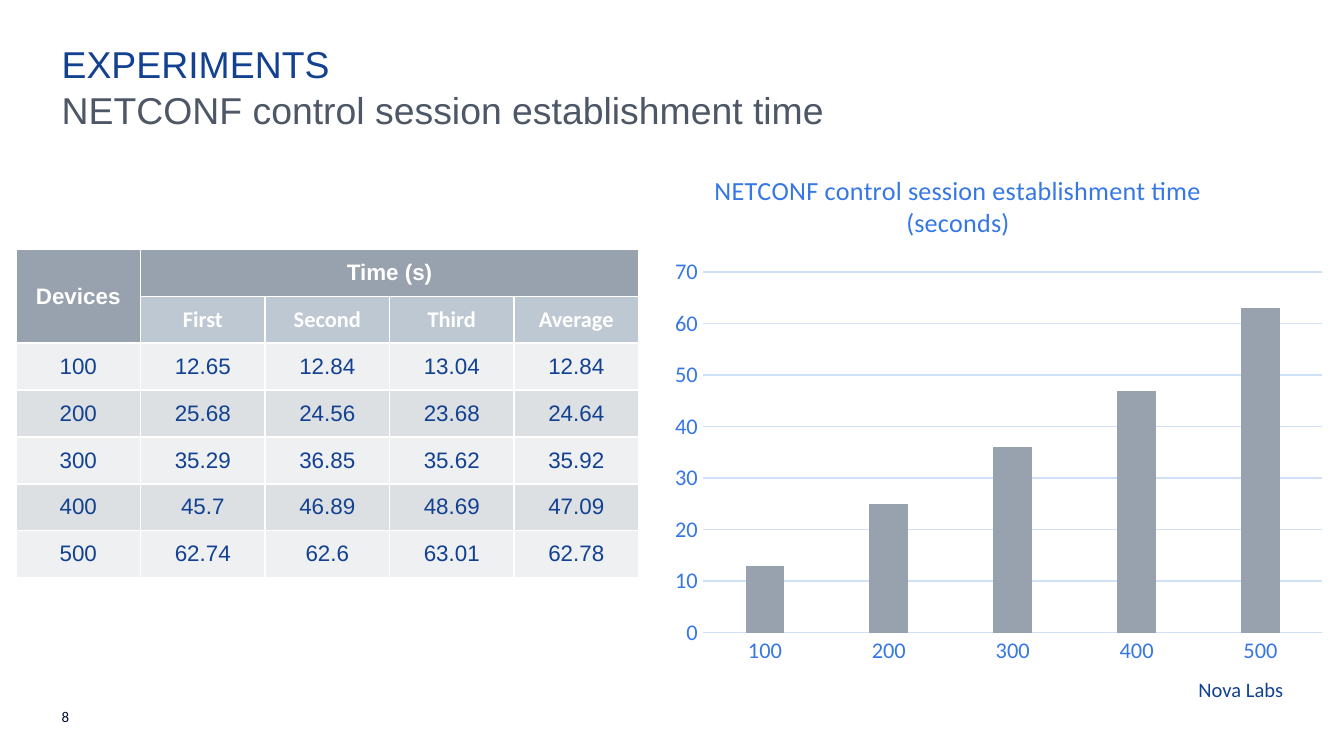
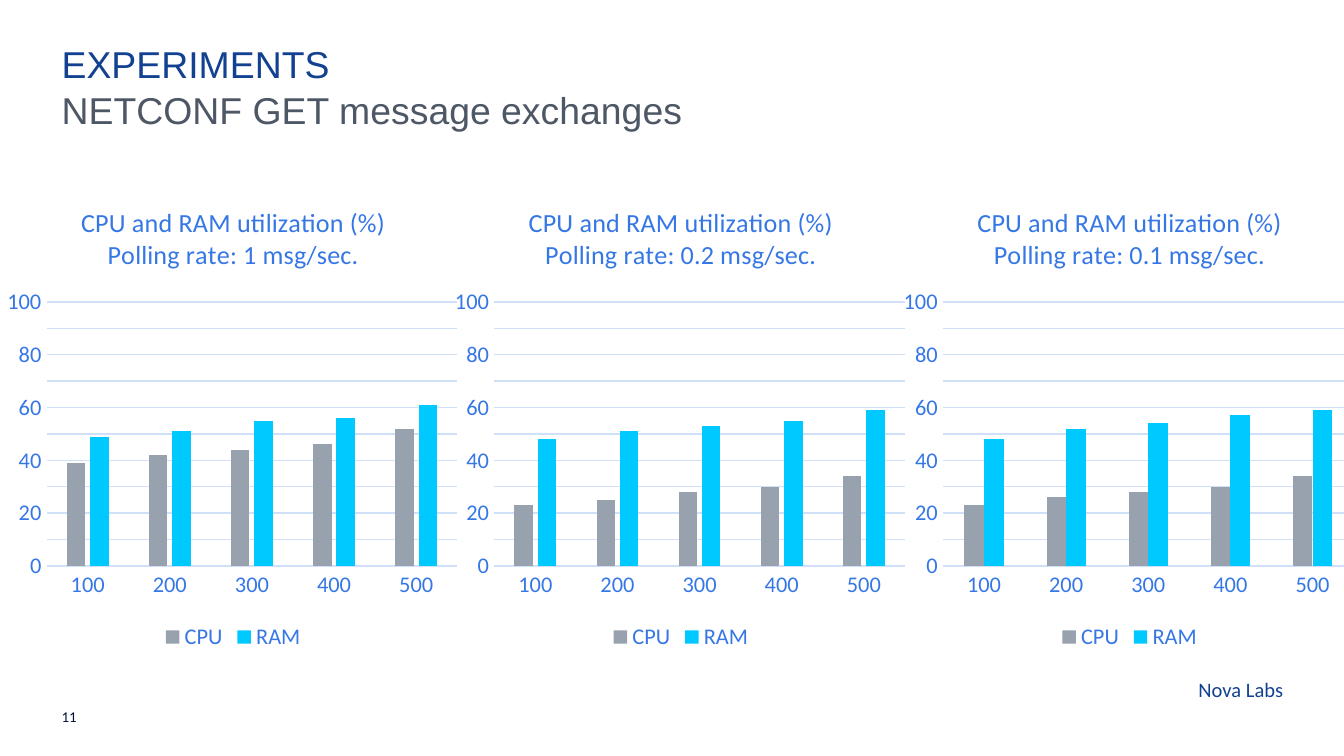
import pptx
import pptx.util
import pptx.chart.data
import pptx.dml.color
import pptx.enum.chart
import pptx.enum.text
import pptx.oxml
import lxml.etree

Pt = pptx.util.Pt
RGB = pptx.dml.color.RGBColor.from_string
ALIGN = pptx.enum.text.PP_ALIGN
ANCHOR = pptx.enum.text.MSO_ANCHOR
CHART = pptx.enum.chart

HUE = {
    "navy": "124191", "ink": "001135", "slate": "4D5766", "blue": "3677E6",
    "grid": "D1E0F9", "gray": "98A2AE", "cyan": "00C9FF", "white": "FFFFFF",
    "sub": "BEC8D2", "light": "EFF0F2", "dark": "DDE0E3",
}
LOADS = ["100", "200", "300", "400", "500"]


def put_text(shape, text, box, size, hue, face, align=ALIGN.LEFT, anchor=ANCHOR.TOP):
    """Place a text shape and give it one styled paragraph."""
    shape.left, shape.top, shape.width, shape.height = [Pt(n) for n in box]
    frame = shape.text_frame
    frame.margin_left = frame.margin_right = frame.margin_top = frame.margin_bottom = 0
    frame.word_wrap = True
    frame.vertical_anchor = anchor
    frame.text = text
    para = frame.paragraphs[0]
    para.alignment = align
    para.font.size, para.font.name = Pt(size), face
    para.font.color.rgb = RGB(HUE[hue])


def add_bars(slide, box, lines, series, plot, overlap, spot=None):
    """Add a column chart; plot (inner area) and spot (title) are shares of it."""
    data = pptx.chart.data.CategoryChartData()
    data.categories = LOADS
    for name, vals, hue in series:
        data.add_series(name, vals)
    chart = slide.shapes.add_chart(
        CHART.XL_CHART_TYPE.COLUMN_CLUSTERED, *[Pt(n) for n in box], data).chart
    chart.font.size, chart.font.name = Pt(10), "Calibri"
    chart.font.color.rgb = RGB(HUE["navy"])

    # Title
    frame = chart.chart_title.text_frame
    frame.text = "\n".join(lines)
    for para in frame.paragraphs:
        para.font.size, para.font.name, para.font.bold = Pt(14), "Calibri", False
        para.font.color.rgb = RGB(HUE["blue"])

    # Axes and legend
    cat, val = chart.category_axis, chart.value_axis
    val.major_unit = 10
    fonts = [cat.tick_labels.font, val.tick_labels.font]
    chart.has_legend = len(series) > 1
    if chart.has_legend:
        chart.legend.position = CHART.XL_LEGEND_POSITION.BOTTOM
        chart.legend.include_in_layout = False
        fonts.append(chart.legend.font)
        val.maximum_scale = 100
    for font in fonts:
        font.size, font.name = Pt(12), "Calibri"
        font.color.rgb = RGB(HUE["blue"])
    for axis in (cat, val):
        axis.major_tick_mark = axis.minor_tick_mark = CHART.XL_TICK_MARK.NONE
    val.has_major_gridlines = True
    for line in (cat.format.line, val.major_gridlines.format.line):
        line.color.rgb, line.width = RGB(HUE["grid"]), Pt(0.75)
    val.format.line.fill.background()

    # Bars
    bars = chart.plots[0]
    bars.vary_by_categories = False
    bars.gap_width, bars.overlap = 219, overlap
    for item, (name, vals, hue) in zip(bars.series, series):
        item.format.fill.solid()
        item.format.fill.fore_color.rgb = RGB(HUE[hue])

    # Fixed places for the inner plot area and the title
    area = chart._chartSpace.chart.plotArea
    tag = "{%s}" % area.nsmap["c"]
    modes = [("xMode", "edge"), ("yMode", "edge")]
    places = [(area, 0, [("layoutTarget", "inner")] + modes, plot)]
    if spot:
        places.append((chart.chart_title._element, 1, modes, spot))
    for part, index, rules, nums in places:
        for old in part.xpath("c:layout"):
            part.remove(old)
        layout = lxml.etree.Element(tag + "layout")
        part.insert(index, layout)
        manual = lxml.etree.SubElement(layout, tag + "manualLayout")
        for key, value in rules + list(zip("xywh", nums)):
            lxml.etree.SubElement(manual, tag + key, val=str(value))


deck = pptx.Presentation()
deck.slide_width, deck.slide_height = Pt(720), Pt(405)

# Shared frame: title, subtitle, page number, footer
pages = []
for page, topic in [("8", "NETCONF control session establishment time"),
                    ("11", "NETCONF GET message exchanges")]:
    slide = deck.slides.add_slide(deck.slide_layouts[5])
    pages.append(slide)
    put_text(slide.shapes.title, "EXPERIMENTS", (33, 22, 654.5, 24.5),
             20, "navy", "Arial")
    for text, box, size, hue, face, align, anchor in [
        (topic, (33, 46.5, 654.5, 24.5), 20, "slate", "Arial", ALIGN.LEFT, ANCHOR.TOP),
        (page, (33, 379, 11.5, 9.5), 8, "ink", "Calibri", ALIGN.LEFT, ANCHOR.BOTTOM),
        ("Nova Labs", (606, 362.5, 81.5, 13.5), 11, "navy", "Calibri", ALIGN.RIGHT, ANCHOR.TOP),
    ]:
        put_text(slide.shapes.add_textbox(0, 0, 0, 0), text, box, size, hue, face, align, anchor)

# Slide 1: table of session times
rows = [
    ["Devices", "Time (s)", "", "", ""],
    ["", "First", "Second", "Third", "Average"],
    ["100", "12.65", "12.84", "13.04", "12.84"],
    ["200", "25.68", "24.56", "23.68", "24.64"],
    ["300", "35.29", "36.85", "35.62", "35.92"],
    ["400", "45.7", "46.89", "48.69", "47.09"],
    ["500", "62.74", "62.6", "63.01", "62.78"],
]
wide, high = 66.7, 25.1
table = pages[0].shapes.add_table(
    7, 5, Pt(8.6), Pt(133.7), Pt(5 * wide), Pt(7 * high)).table
table.horz_banding = False
for col in table.columns:
    col.width = Pt(wide)
for r, row in enumerate(rows):
    table.rows[r].height = Pt(high)
    for c, text in enumerate(row):
        cell = table.cell(r, c)
        head = r < 2
        if r == 0 or (r == 1 and c == 0):
            fill = "gray"
        elif head:
            fill = "sub"
        else:
            fill = "dark" if r % 2 else "light"
        cell.fill.solid()
        cell.fill.fore_color.rgb = RGB(HUE[fill])
        cell.vertical_anchor = ANCHOR.MIDDLE
        cell.text = text
        para = cell.text_frame.paragraphs[0]
        para.alignment = ALIGN.CENTER
        para.font.size, para.font.bold = Pt(12), head
        para.font.name = "Calibri" if r == 1 else "Arial"
        para.font.color.rgb = RGB(HUE["white" if head else "navy"])
        # White borders go ahead of the fill
        props = cell._tc.get_or_add_tcPr()
        for n, side in enumerate(["lnL", "lnR", "lnT", "lnB"]):
            props.insert(n, pptx.oxml.parse_xml(
                f'<a:{side} xmlns:a="http://schemas.openxmlformats.org/drawingml/2006/main"'
                f' w="{Pt(1)}"><a:solidFill><a:srgbClr val="{HUE["white"]}"/>'
                f'</a:solidFill></a:{side}>'))
table.cell(0, 0).merge(table.cell(1, 0))
table.cell(0, 1).merge(table.cell(0, 4))

# Slide 1: chart of the rounded averages
means = [round(float(row[-1])) for row in rows[2:]]
add_bars(pages[0], (355, 81.4, 360.7, 280),
         ["NETCONF control session establishment time (seconds)"],
         [("Series 1", means, "gray")], (0.06, 0.23, 0.92, 0.69), -27, (0.07, 0.03))

# Slide 2: one chart per polling rate, from right to left
for left, rate, cpu, ram, overlap in [
    (480.2, "0.1", [23, 26, 28, 30, 34], [48, 52, 54, 57, 59], 0),
    (239.8, "0.2", [23, 25, 28, 30, 34], [48, 51, 53, 55, 59], -27),
    (0, "1", [39, 42, 44, 46, 52], [49, 51, 55, 56, 61], -27),
]:
    add_bars(pages[1], (left, 98.6, 250, 252.7),
             ["CPU and RAM utilization (%)", f"Polling rate: {rate} msg/sec."],
             [("CPU", cpu, "gray"), ("RAM", ram, "cyan")],
             (0.1, 0.25, 0.88, 0.56), overlap)

deck.save("out.pptx")
